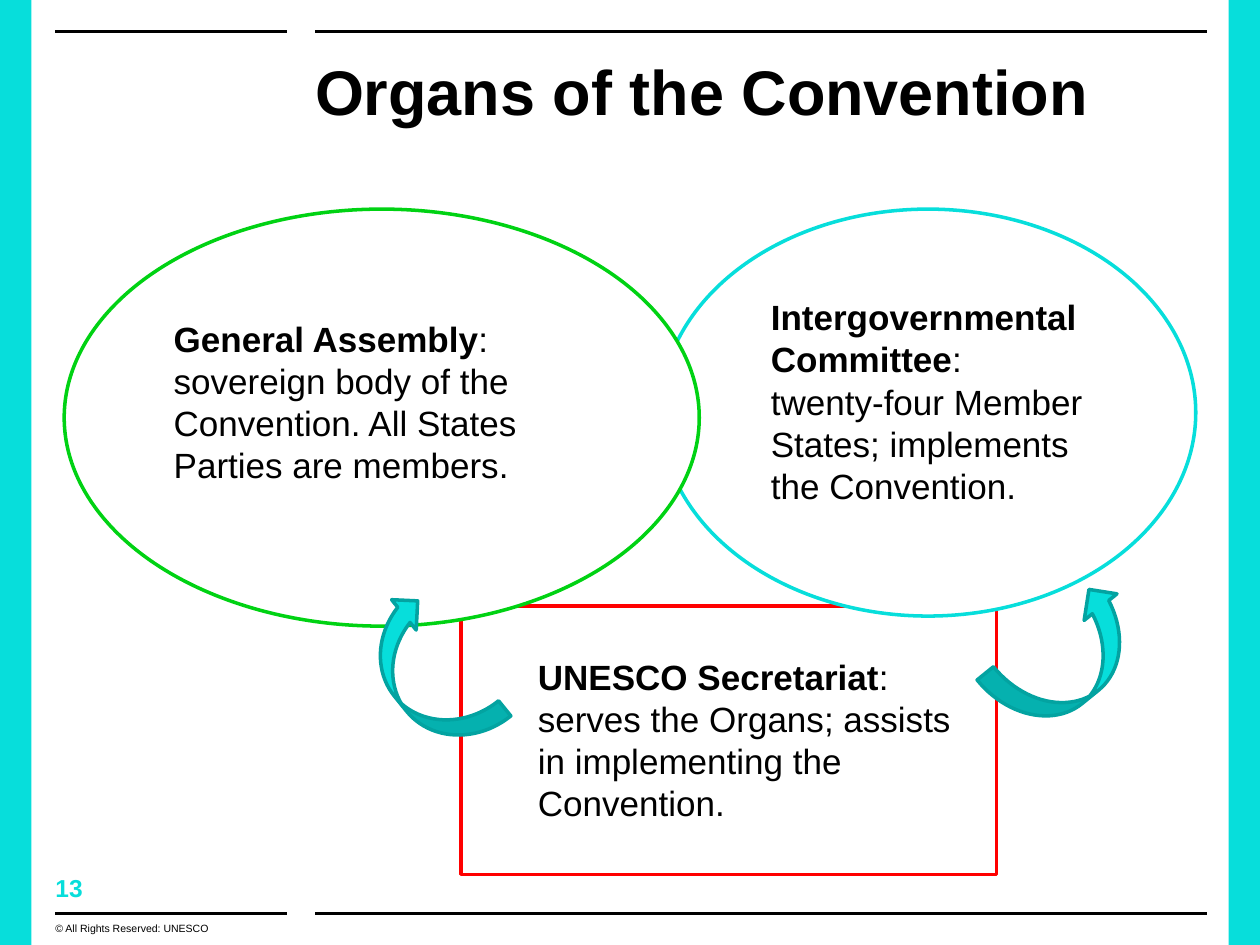
from dataclasses import dataclass

from lxml.etree import SubElement
from pptx import Presentation
from pptx.dml.color import RGBColor
from pptx.enum.shapes import MSO_CONNECTOR, MSO_SHAPE
from pptx.enum.text import MSO_ANCHOR
from pptx.oxml.ns import qn
from pptx.util import Inches, Pt


@dataclass(frozen=True)
class Theme:
    font: str = "Arial"
    black: str = "000000"
    white: str = "FFFFFF"
    cyan: str = "07DEDB"
    teal: str = "03A3A1"
    green: str = "00D213"
    red: str = "FF0000"
    title_size: int = 36
    body_size: int = 20
    number_size: int = 14
    footer_size: int = 6
    line_width: int = 2


class SlideBuilder:
    columns = 100
    rows = 75

    def __init__(self, presentation, theme):
        self.theme = theme
        self.column = presentation.slide_width / self.columns
        self.row = presentation.slide_height / self.rows
        self.slide = presentation.slides.add_slide(presentation.slide_layouts[6])

    def place(self, left, top, width, height):
        return (round(left * self.column), round(top * self.row),
                round(width * self.column), round(height * self.row))

    def shape(self, kind, box, fill, line=None, rotation=0):
        shape = self.slide.shapes.add_shape(kind, *self.place(*box))
        shape.shadow.inherit = False
        shape.rotation = rotation
        shape.fill.solid()
        shape.fill.fore_color.rgb = RGBColor.from_string(fill)
        if line:
            shape.line.color.rgb = RGBColor.from_string(line)
            shape.line.width = Pt(self.theme.line_width)
        else:
            shape.line.fill.background()

    def rule(self, left, right, row):
        start_x, y, end_x, _ = self.place(left, row, right, row)
        connector = self.slide.shapes.add_connector(MSO_CONNECTOR.STRAIGHT, start_x, y, end_x, y)
        connector.line.color.rgb = RGBColor.from_string(self.theme.black)
        connector.line.width = Pt(self.theme.line_width)
        SubElement(connector._element.spPr, qn("a:effectLst"))

    def frame(self, box, margins=(0, 0), anchor=MSO_ANCHOR.TOP):
        frame = self.slide.shapes.add_textbox(*self.place(*box)).text_frame
        frame.word_wrap = True
        frame.vertical_anchor = anchor
        frame.margin_left = frame.margin_right = Inches(margins[0])
        frame.margin_top = frame.margin_bottom = Inches(margins[1])
        return frame

    def style(self, paragraph, size, color=None, bold=None):
        paragraph.font.name = self.theme.font
        paragraph.font.size = Pt(size)
        paragraph.font.color.rgb = RGBColor.from_string(color or self.theme.black)
        paragraph.font.bold = bold

    def label(self, text, box, size, color=None, bold=False, anchor=MSO_ANCHOR.TOP):
        paragraph = self.frame(box, anchor=anchor).paragraphs[0]
        paragraph.text = text
        self.style(paragraph, size, color, bold)

    def organ(self, name, first_line, box, next_line=None):
        frame = self.frame(box, margins=(0.1, 0.05))
        paragraph = frame.paragraphs[0]
        for text, bold in ((name, True), (first_line, False)):
            run = paragraph.add_run()
            run.text = text
            run.font.bold = bold
        if next_line:
            frame.add_paragraph().text = next_line
        for paragraph in frame.paragraphs:
            self.style(paragraph, self.theme.body_size)


def main():
    presentation = Presentation()
    presentation.slide_width = Inches(10)
    presentation.slide_height = Inches(7.5)
    theme = Theme()
    builder = SlideBuilder(presentation, theme)

    for left in (0, 97.5):
        builder.shape(MSO_SHAPE.RECTANGLE, (left, 0, 2.5, 75), theme.cyan)
    for row in (2.5, 72.5):
        builder.rule(4.4, 22.8, row)
        builder.rule(25, 95.8, row)
    builder.label("13", (4.4, 69.3, 11.4, 2.3), theme.number_size, theme.cyan, True, MSO_ANCHOR.BOTTOM)
    builder.label("Organs of the Convention", (25, 4.1, 70.8, 6.1), theme.title_size,
                  bold=True, anchor=MSO_ANCHOR.BOTTOM)

    outlines = (
        (MSO_SHAPE.RECTANGLE, (36.6, 48.1, 42.5, 21.3), theme.red),
        (MSO_SHAPE.OVAL, (52.4, 16.6, 42.5, 32.3), theme.cyan),
        (MSO_SHAPE.OVAL, (5.1, 16.6, 50.4, 33.1), theme.green),
    )
    for kind, box, line in outlines:
        builder.shape(kind, box, theme.white, line)

    builder.organ("General Assembly",
                  ": sovereign body of the Convention. All States Parties are members.",
                  (12.8, 24.7, 36.5, 14.4))
    builder.organ("Intergovernmental Committee", ":", (60.2, 23, 29.4, 17.7),
                  "twenty-four Member States; implements the Convention.")
    builder.organ("UNESCO Secretariat",
                  ": serves the Organs; assists in implementing the Convention.",
                  (41.7, 51.5, 37.5, 14.4))

    arrows = (
        (MSO_SHAPE.CURVED_UP_ARROW, (78.2, 49.1, 13.1, 6.7), 321),
        (MSO_SHAPE.CURVED_DOWN_ARROW, (27.3, 50.5, 13.3, 6.2), 231),
    )
    for kind, box, rotation in arrows:
        builder.shape(kind, box, theme.cyan, theme.teal, rotation)
    builder.label("© All Rights Reserved: UNESCO", (4.4, 73.2, 18.3, 1.8), theme.footer_size)

    presentation.save("out.pptx")


if __name__ == "__main__":
    main()
